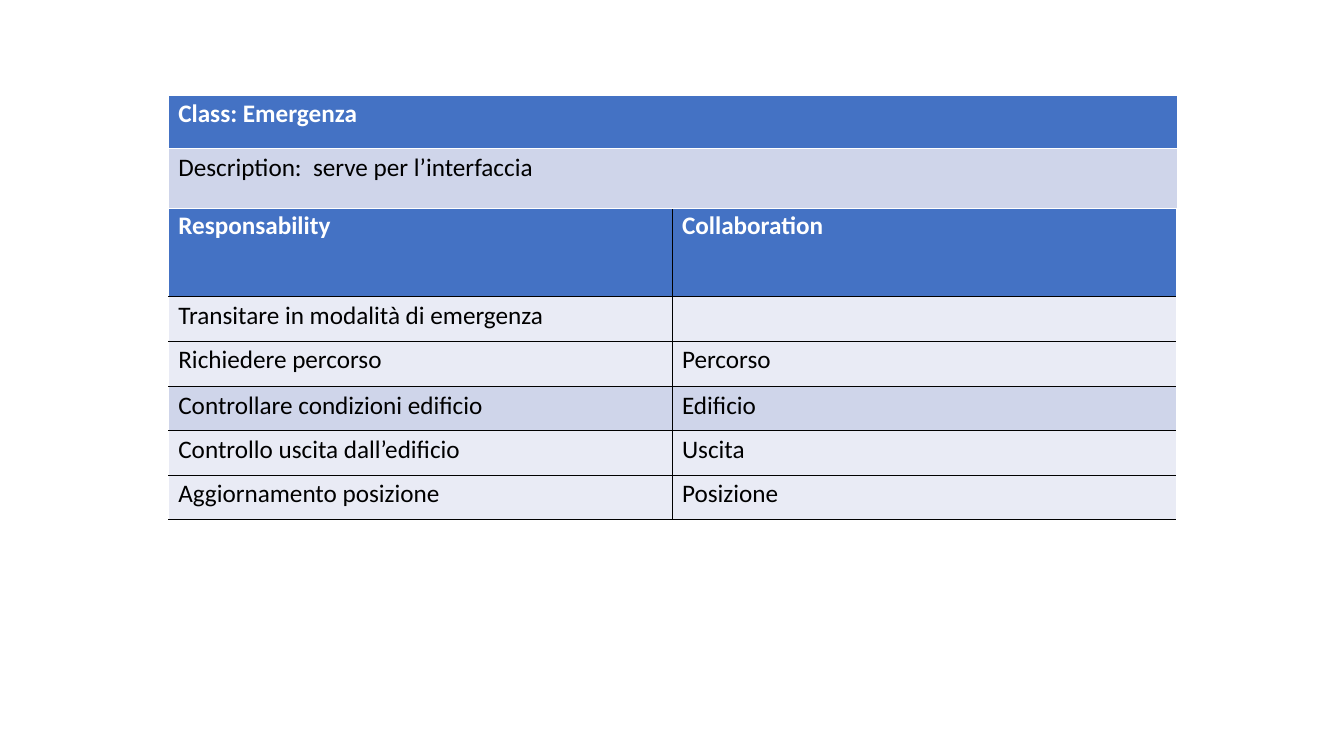
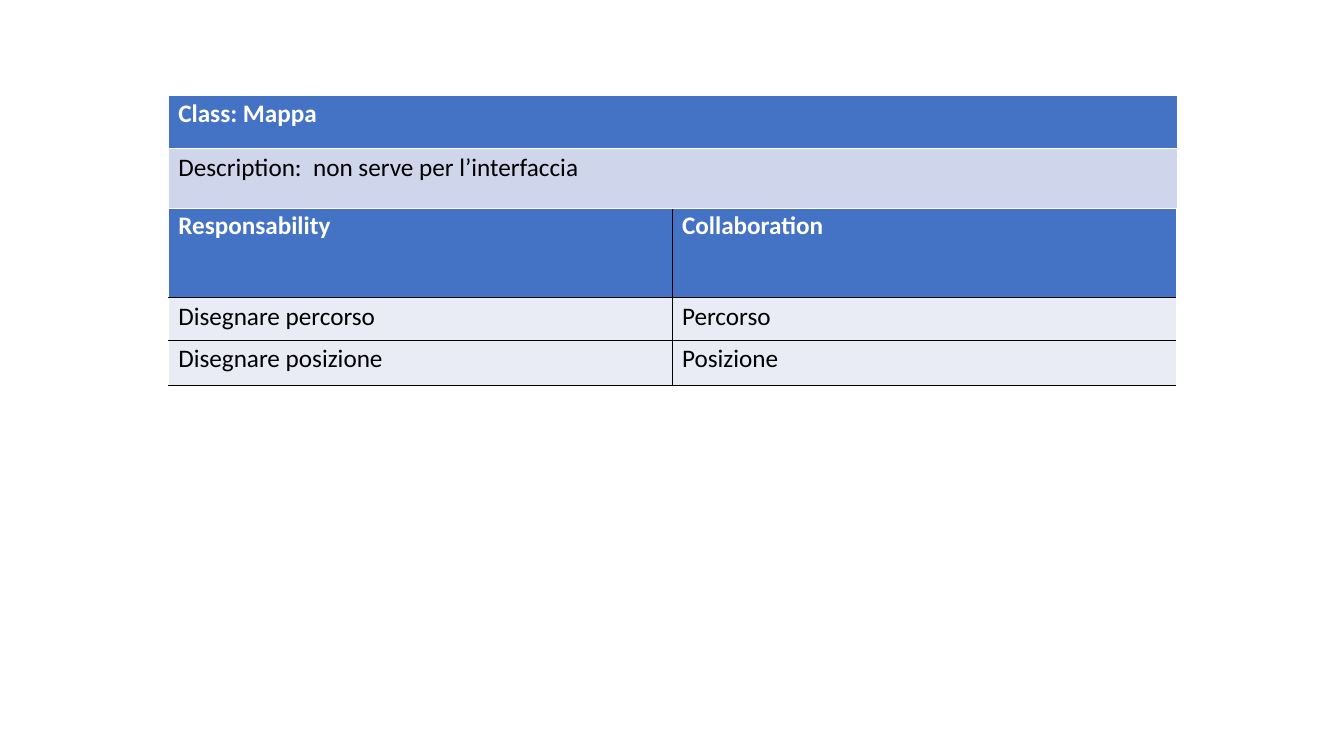
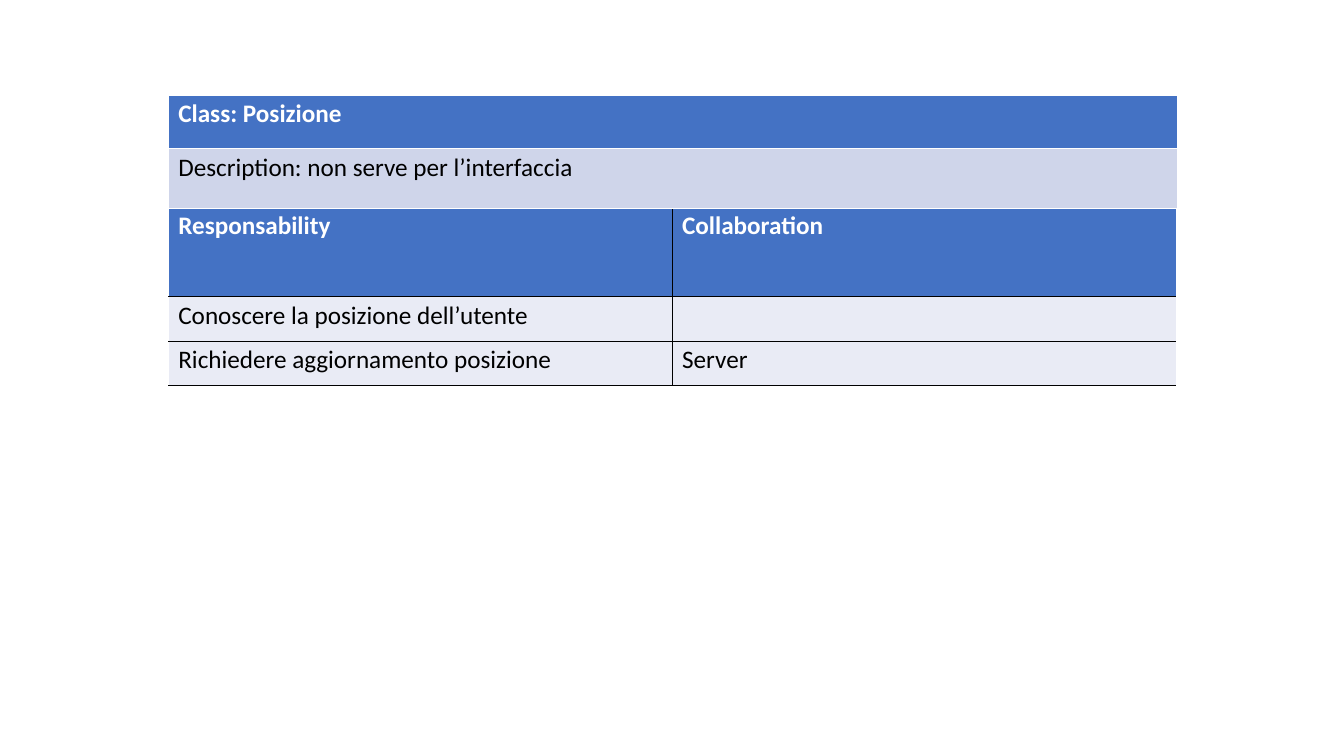
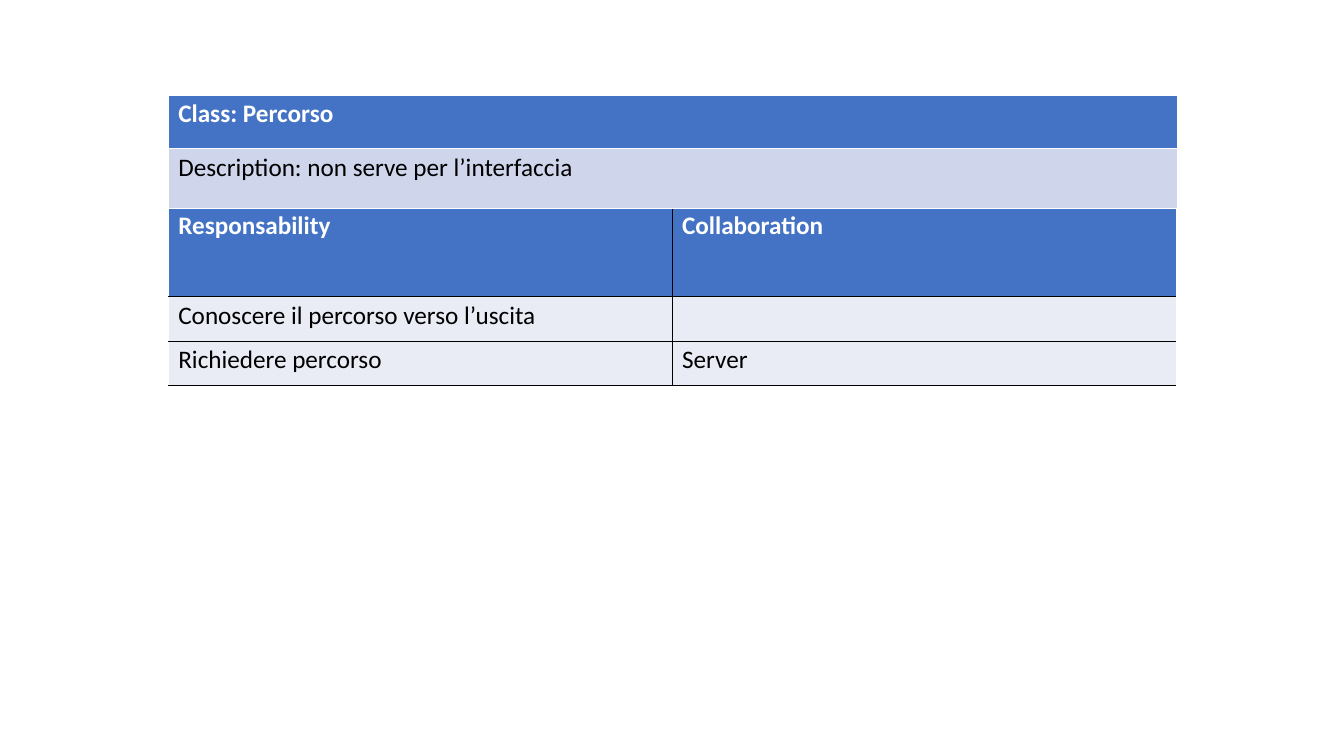
"""Build four class cards, each with a heading table and a task table."""
import dataclasses

import lxml.etree
import pptx
import pptx.dml.color
import pptx.oxml.ns
import pptx.slide
import pptx.table
import pptx.util

BLUE = "4472C4"
MID = "CFD5EA"
PALE = "E9EBF5"
WHITE = "FFFFFF"
BLACK = "000000"
LEFT = 1.67
TOP = 0.94
HEAD = (0.53, 0.59)
THIN = 0.06
THICK = 0.17


@dataclasses.dataclass(frozen=True)
class Edge:
    tint: str
    width: float = THIN


@dataclasses.dataclass(frozen=True)
class Row:
    texts: tuple[str, ...]
    height: float = 0.44
    fill: str = PALE
    bold: bool = False


@dataclasses.dataclass(frozen=True)
class Card:
    name: str
    about: str
    tasks: tuple[Row, ...]
    label: float = 0.89


CARDS = (
    Card("Emergenza", "Description:  serve per l’interfaccia", (
        Row(("Transitare in modalità di emergenza", "")),
        Row(("Richiedere percorso", "Percorso"), 0.45),
        Row(("Controllare condizioni edificio", "Edificio"), fill=MID),
        Row(("Controllo uscita dall’edificio", "Uscita")),
        Row(("Aggiornamento posizione", "Posizione")),
    )),
    Card("Mappa", "Description:  non serve per l’interfaccia", (
        Row(("Disegnare percorso", "Percorso"), 0.42),
        Row(("Disegnare posizione", "Posizione"), 0.45),
    ), 0.9),
    Card("Posizione", "Description: non serve per l’interfaccia", (
        Row(("Conoscere la posizione dell’utente", "")),
        Row(("Richiedere aggiornamento posizione", "Server")),
    )),
    Card("Percorso", "Description: non serve per l’interfaccia", (
        Row(("Conoscere il percorso verso l’uscita", "")),
        Row(("Richiedere percorso", "Server")),
    )),
)


def shade(code: str) -> pptx.dml.color.RGBColor:
    return pptx.dml.color.RGBColor.from_string(code)


def border(cell: pptx.table._Cell, side: str, edge: Edge) -> None:
    qn = pptx.oxml.ns.qn
    line = lxml.etree.SubElement(cell._tc.get_or_add_tcPr(), qn(f"a:ln{side}"))
    line.set("w", str(pptx.util.Pt(edge.width)))
    solid = lxml.etree.SubElement(line, qn("a:solidFill"))
    lxml.etree.SubElement(solid, qn("a:srgbClr")).set("val", edge.tint)


def write(cell: pptx.table._Cell, text: str, row: Row) -> None:
    cell.fill.solid()
    cell.fill.fore_color.rgb = shade(row.fill)
    cell.text = text
    para = cell.text_frame.paragraphs[0]
    para.line_spacing = 0.94
    para.font.name = "Calibri"
    para.font.size = pptx.util.Pt(18)
    para.font.bold = row.bold
    para.font.color.rgb = shade(WHITE if row.bold else BLACK)


def grid(slide: pptx.slide.Slide, top: float, width: float,
         rows: tuple[Row, ...], inner: Edge, base: Edge) -> None:
    inch = pptx.util.Inches
    count = len(rows[0].texts)
    frame = slide.shapes.add_table(
        len(rows), count, inch(LEFT), inch(top), inch(width),
        inch(sum(row.height for row in rows)))
    table = frame.table
    table.first_row = table.horz_banding = False
    for col in table.columns:
        col.width = inch(width / count)
    for i, row in enumerate(rows):
        table.rows[i].height = inch(row.height)
        for j, text in enumerate(row.texts):
            cell = table.cell(i, j)
            border(cell, "L", inner if j else Edge(WHITE))
            border(cell, "R", inner if j < count - 1 else Edge(WHITE))
            border(cell, "T", inner if i else Edge(WHITE))
            border(cell, "B", inner if i < len(rows) - 1 else base)
            write(cell, text, row)


def draw(slide: pptx.slide.Slide, card: Card) -> None:
    label = Row(("Responsability", "Collaboration"), card.label, BLUE, True)
    grid(slide, TOP + sum(HEAD) - 0.01, 10, (label, *card.tasks),
         Edge(BLACK), Edge(BLACK))
    heading = (Row((f"Class: {card.name}",), HEAD[0], BLUE, True),
               Row((card.about,), HEAD[1], MID))
    grid(slide, TOP, 10.01, heading, Edge(WHITE, THICK), Edge(WHITE))


def main() -> None:
    deck = pptx.Presentation()
    deck.slide_width = pptx.util.Inches(13.34)
    deck.slide_height = pptx.util.Inches(7.5)
    for card in CARDS:
        draw(deck.slides.add_slide(deck.slide_layouts[6]), card)
    deck.save("out.pptx")


if __name__ == "__main__":
    main()
